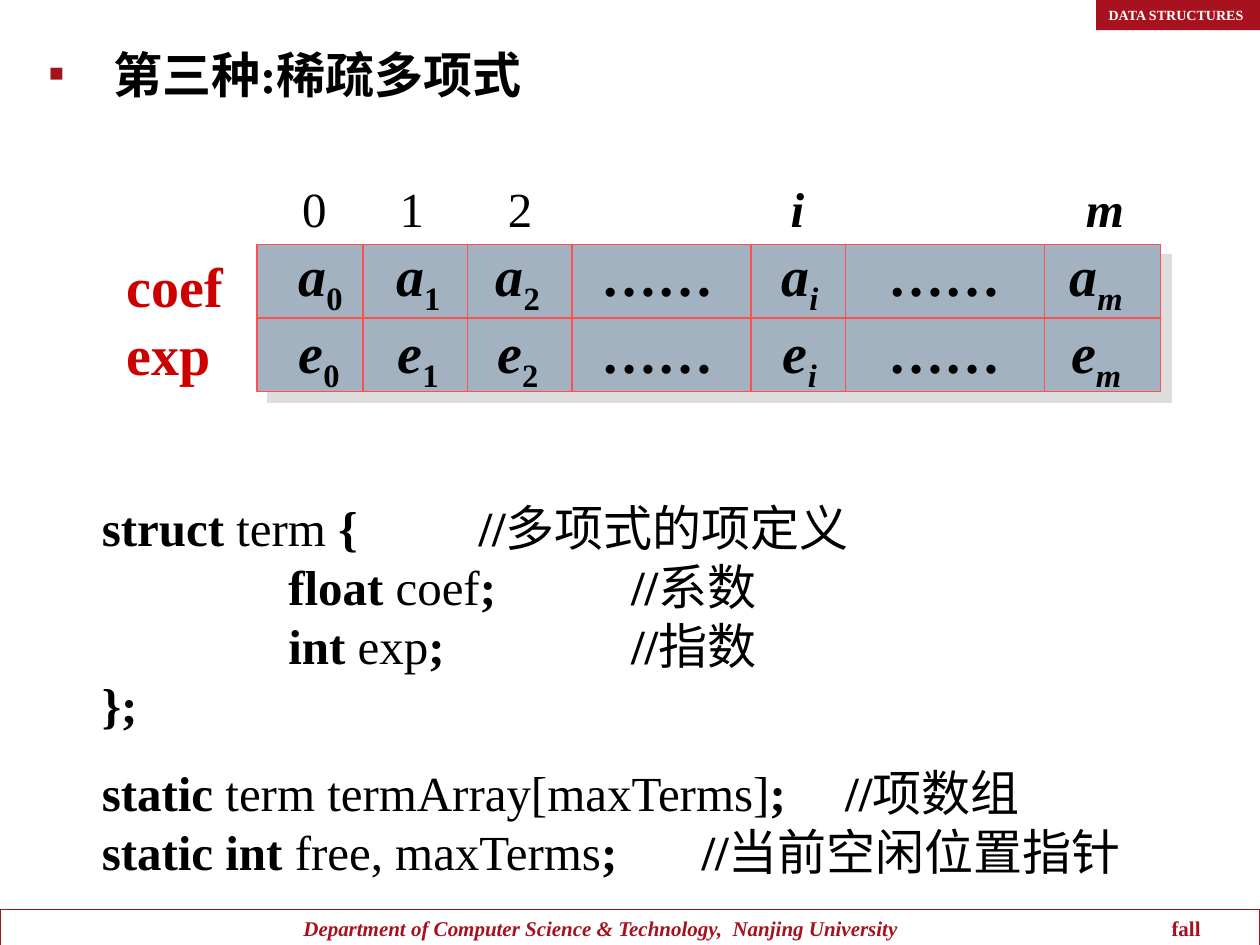
from itertools import accumulate

from lxml import etree
from pptx import Presentation
from pptx.dml.color import RGBColor
from pptx.enum.shapes import MSO_CONNECTOR, MSO_SHAPE
from pptx.enum.text import MSO_ANCHOR, MSO_AUTO_SIZE, PP_ALIGN
from pptx.oxml.ns import qn
from pptx.util import Inches, Pt

RECT, STRAIGHT = MSO_SHAPE.RECTANGLE, MSO_CONNECTOR.STRAIGHT
TOP, MIDDLE = MSO_ANCHOR.TOP, MSO_ANCHOR.MIDDLE
LEFT = PP_ALIGN.LEFT
NO_AUTOFIT = MSO_AUTO_SIZE.NONE

FONT = "Times New Roman"
BLACK, WHITE, CRIMSON = "000000", "FFFFFF", "A5121E"
TAG_RED, LABEL_RED, GRID_RED = "A8121E", "CC0000", "FF5050"
CELL_BLUE, SHADOW_GREY = "A3B2C1", "DDDDDD"

# Term array grid
GRID_LEFT, GRID_TOP, GRID_HEIGHT = 2.04, 1.94, 1.17
COLUMN_WIDTHS = [0.84, 0.83, 0.83, 1.42, 0.75, 1.58, 0.92]
TERM_INDICES = ["0", "1", "2", "……", "i", "……", "m"]
# Column centres, measured from the first term's left edge
TERM_STOPS = [0.95, 1.74, 2.85, 3.98, 5.13, 6.33]
INDEX_STOPS = [0.87, 1.73, 3.93, 6.37]

# Code lines: tab stops, space before in points, (text, bold) runs
CODE = [
    ([2.99], 0, [("struct ", True), ("term ", False), ("{\t//", True),
                 ("多项式的项定义", False)]),
    ([1.48, 4.2], 0, [("\tfloat ", True), ("coef", False), (";\t//", True),
                      ("系数", False)]),
    ([1.48, 4.2], 0, [("\tint", True), (" exp", False), (";\t//", True),
                      ("指数", False)]),
    ([], 0, [("};", True)]),
    ([5.9], 17, [("static ", True), ("term termArray[maxTerms]", False),
                 (";\t//", True), ("项数组", False)]),
    ([4.76], 0, [("static int", True), (" free, maxTerms", False),
                 (";\t//", True), ("当前空闲位置指针", False)]),
]


def rgb(color):
    return RGBColor.from_string(color)


def add_run(paragraph, text, size, color=BLACK, bold=False, italic=False,
            baseline=None):
    run = paragraph.add_run()
    run.text = text
    font = run.font
    font.name, font.size = FONT, Pt(size)
    font.bold, font.italic = bold, italic
    font.color.rgb = rgb(color)
    if baseline:
        font._element.set("baseline", str(baseline * 1000))


def add_tabs(paragraph, stops, align="l"):
    tab_list = etree.SubElement(paragraph._p.get_or_add_pPr(), qn("a:tabLst"))
    for stop in stops:
        etree.SubElement(tab_list, qn("a:tab"), pos=str(Inches(stop)),
                         algn=align)


def add_box(slide, left, top, width, height):
    box = slide.shapes.add_textbox(Inches(left), Inches(top),
                                   Inches(width), Inches(height))
    box.text_frame.word_wrap = True
    return box.text_frame


def get_paragraph(frame, number):
    return frame.add_paragraph() if number else frame.paragraphs[0]


def add_panel(slide, left, top, width, height, fill=None, line=None):
    panel = slide.shapes.add_shape(RECT, Inches(left), Inches(top),
                                   Inches(width), Inches(height))
    panel.shadow.inherit = False
    if fill:
        panel.fill.solid()
        panel.fill.fore_color.rgb = rgb(fill)
    else:
        panel.fill.background()
    if line:
        panel.line.color.rgb = rgb(line)
        panel.line.width = Pt(0.75)
    else:
        panel.line.fill.background()
    panel.text_frame.vertical_anchor = MIDDLE
    panel.text_frame.paragraphs[0].alignment = LEFT
    return panel


def add_shadow(shape):
    effects = shape._element.spPr.find(qn("a:effectLst"))
    shadow = etree.SubElement(effects, qn("a:outerShdw"), dist=str(Pt(8.5)),
                              dir="2700000", algn="ctr", rotWithShape="0")
    etree.SubElement(shadow, qn("a:srgbClr"), val=SHADOW_GREY)


def add_rule(slide, x1, y1, x2, y2):
    rule = slide.shapes.add_connector(STRAIGHT, Inches(x1), Inches(y1),
                                      Inches(x2), Inches(y2))
    rule.line.color.rgb = rgb(GRID_RED)
    rule.line.width = Pt(0.75)
    etree.SubElement(rule._element.spPr, qn("a:effectLst"))


def add_heading(slide, text):
    heading = slide.shapes.title
    heading.left, heading.top = Inches(0.29), Inches(0.3)
    heading.width, heading.height = Inches(8.5), Inches(0.6)
    frame = heading.text_frame
    frame.auto_size, frame.vertical_anchor = NO_AUTOFIT, TOP
    paragraph = frame.paragraphs[0]
    paragraph.alignment = LEFT
    # Small square bullet with a hanging indent
    properties = paragraph._p.get_or_add_pPr()
    properties.set("marL", str(Inches(0.51)))
    properties.set("indent", str(-Inches(0.51)))
    bullet_color = etree.SubElement(properties, qn("a:buClr"))
    etree.SubElement(bullet_color, qn("a:srgbClr"), val=CRIMSON)
    etree.SubElement(properties, qn("a:buSzPct"), val="50000")
    etree.SubElement(properties, qn("a:buFont"), typeface=FONT)
    etree.SubElement(properties, qn("a:buChar"), char="■")
    add_run(paragraph, text, 28, bold=True)


def add_grid(slide):
    right, bottom = GRID_LEFT + sum(COLUMN_WIDTHS), GRID_TOP + GRID_HEIGHT
    grid = add_panel(slide, GRID_LEFT, GRID_TOP, right - GRID_LEFT,
                     GRID_HEIGHT, CELL_BLUE, GRID_RED)
    add_shadow(grid)
    for x in accumulate(COLUMN_WIDTHS[:-1], initial=GRID_LEFT):
        if x > GRID_LEFT:
            add_rule(slide, x, GRID_TOP, x, bottom)
    middle = GRID_TOP + GRID_HEIGHT / 2
    add_rule(slide, GRID_LEFT, middle, right, middle)


def add_terms(slide):
    frame = add_box(slide, 2.27, 1.86, 6.95, 1.32)
    for row, letter in enumerate("ae"):
        paragraph = get_paragraph(frame, row)
        add_tabs(paragraph, TERM_STOPS, "ctr")
        for column, index in enumerate(TERM_INDICES):
            tab = "\t" if column else ""
            if index == "……":
                add_run(paragraph, tab + index, 32, bold=True)
            else:
                add_run(paragraph, tab + letter, 32, bold=True, italic=True)
                add_run(paragraph, index, 32, bold=True,
                        italic=index.isalpha(), baseline=-25)


def add_array_labels(slide):
    # Row names
    row_names = add_box(slide, 0.91, 1.95, 1.1, 1.17)
    for number, name in enumerate(["coef", "exp"]):
        add_run(get_paragraph(row_names, number), name, 32, LABEL_RED,
                bold=True)
    # Indices above the columns
    indices = add_box(slide, 2.3, 1.37, 6.9, 0.57).paragraphs[0]
    add_tabs(indices, INDEX_STOPS, "ctr")
    add_run(indices, "0\t1\t2", 28)
    add_run(indices, "\ti\tm", 28, bold=True, italic=True)


def add_code(slide):
    frame = add_box(slide, 0.71, 3.9, 8.72, 3.12)
    for number, (stops, space_before, runs) in enumerate(CODE):
        paragraph = get_paragraph(frame, number)
        if stops:
            add_tabs(paragraph, stops)
        if space_before:
            paragraph.space_before = Pt(space_before)
        for text, bold in runs:
            add_run(paragraph, text, 28, bold=bold)


def add_page_frame(slide):
    footer_bar = add_panel(slide, 0, 7.22, 10, 0.3, line=CRIMSON)
    footer = footer_bar.text_frame.paragraphs[0]
    add_tabs(footer, [2.31, 9.2])
    add_run(footer,
            "\tDepartment of Computer Science & Technology,  Nanjing University",
            12, CRIMSON, bold=True, italic=True)
    add_run(footer, "\tfall", 12, CRIMSON, bold=True)
    course_tag = add_panel(slide, 8.7, 0, 1.3, 0.24, TAG_RED)
    add_run(course_tag.text_frame.paragraphs[0], "DATA STRUCTURES", 8, WHITE,
            bold=True)


def main():
    presentation = Presentation()
    presentation.slide_width = Inches(10)
    presentation.slide_height = Inches(7.5)
    slide = presentation.slides.add_slide(presentation.slide_layouts[5])
    add_page_frame(slide)
    add_heading(slide, "第三种:稀疏多项式")
    add_grid(slide)
    add_terms(slide)
    add_array_labels(slide)
    add_code(slide)
    presentation.save("out.pptx")


if __name__ == "__main__":
    main()
